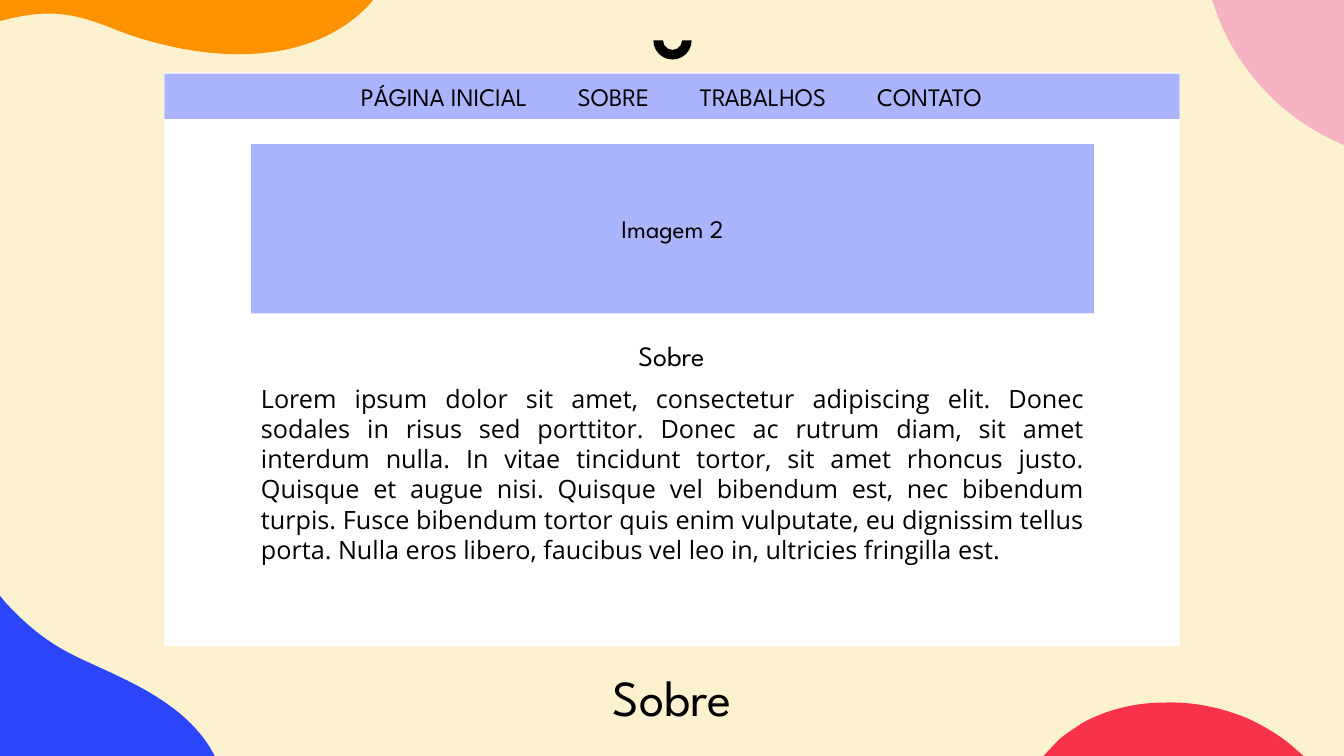
from lxml import etree
from pptx import Presentation
from pptx.dml.color import RGBColor
from pptx.enum.shapes import MSO_SHAPE
from pptx.enum.text import MSO_ANCHOR, PP_ALIGN
from pptx.oxml.ns import qn
from pptx.util import Inches, Pt

RECTANGLE = MSO_SHAPE.RECTANGLE
BLOCK_ARC = MSO_SHAPE.BLOCK_ARC
TOP, MIDDLE = MSO_ANCHOR.TOP, MSO_ANCHOR.MIDDLE
LEFT, CENTER, JUSTIFY = PP_ALIGN.LEFT, PP_ALIGN.CENTER, PP_ALIGN.JUSTIFY

COLORS = {
    "cream": "FDF2CF",
    "orange": "FE9201",
    "blue": "2C46FB",
    "pink": "F6B4C3",
    "red": "F83249",
    "lilac": "ABB5FD",
    "white": "FFFFFF",
    "black": "000000",
}
HEADING_FONT = "League Spartan"
BODY_FONT = "Open Sans"

BLOBS = [
    ("orange", (0, 0, 3.7, 0.54), [
        (0, 0), (3.7, 0), (3.66, 0.05),
        (3.01, 0.73, 1.88, 0.6, 1.06, 0.26),
        (0.67, 0.11, 0.44, 0.11, 0.12, 0.18),
        (0, 0.21)]),
    ("blue", (0, 5.91, 2.13, 1.59), [
        (0, 5.91), (0.04, 5.96),
        (0.21, 6.15, 0.41, 6.33, 0.67, 6.47),
        (1.09, 6.69, 1.75, 6.89, 2.08, 7.41),
        (2.13, 7.5), (0, 7.5)]),
    ("pink", (12.02, 0, 1.34, 1.45), [
        (12.02, 0), (13.36, 0), (13.36, 1.45), (13.31, 1.43),
        (12.7, 1.17, 12.23, 0.66, 12.03, 0.02)]),
    ("red", (10.35, 6.97, 2.58, 0.53), [
        (11.55, 6.97),
        (11.83, 6.96, 12.12, 7.02, 12.38, 7.13),
        (12.55, 7.21, 12.72, 7.31, 12.86, 7.44),
        (12.93, 7.5), (10.35, 7.5), (10.5, 7.34),
        (10.57, 7.28, 10.65, 7.23, 10.74, 7.17),
        (10.98, 7.04, 11.26, 6.97, 11.55, 6.97)]),
]

MENU = ["PÁGINA INICIAL", "SOBRE", "TRABALHOS", "CONTATO"]
MENU_INSET = 1.95
MENU_TABS = [2.15, 3.36, 5.12]

ABOUT = (
    "Lorem ipsum dolor sit amet, consectetur adipiscing elit. Donec sodales "
    "in risus sed porttitor. Donec ac rutrum diam, sit amet interdum nulla. "
    "In vitae tincidunt tortor, sit amet rhoncus justo. Quisque et augue nisi. "
    "Quisque vel bibendum est, nec bibendum turpis. Fusce bibendum tortor quis "
    "enim vulputate, eu dignissim tellus porta. Nulla eros libero, faucibus "
    "vel leo in, ultricies fringilla est."
)


def rgb(name):
    return RGBColor.from_string(COLORS[name])


def paint(shape, color):
    shape.shadow.inherit = False
    shape.fill.solid()
    shape.fill.fore_color.rgb = rgb(color)
    shape.line.fill.background()


def add_segment(outline, tag, numbers, left, top):
    segment = etree.SubElement(outline, qn(tag))
    for x, y in zip(numbers[::2], numbers[1::2]):
        etree.SubElement(segment, qn("a:pt"),
                         x=str(Inches(x - left)), y=str(Inches(y - top)))


def add_blob(page, color, place, segments):
    left, top, width, height = place
    right, bottom = left + width, top + height
    builder = page.shapes.build_freeform(Inches(left), Inches(top))
    builder.add_line_segments([(Inches(x), Inches(y)) for x, y in (
        (right, top), (right, bottom), (left, bottom))], close=True)
    blob = builder.convert_to_shape()
    paint(blob, color)
    outline = next(blob._element.iter(qn("a:path")))
    for child in list(outline):
        outline.remove(child)
    add_segment(outline, "a:moveTo", segments[0], left, top)
    for numbers in segments[1:]:
        tag = "a:lnTo" if len(numbers) == 2 else "a:cubicBezTo"
        add_segment(outline, tag, numbers, left, top)
    etree.SubElement(outline, qn("a:close"))


def add_block(page, kind, place, color):
    block = page.shapes.add_shape(kind, *map(Inches, place))
    paint(block, color)
    return block


def write(box, text, size, font=HEADING_FONT, align=CENTER, anchor=MIDDLE, spacing=None):
    frame = box.text_frame
    frame.word_wrap = True
    frame.vertical_anchor = anchor
    para = frame.paragraphs[0]
    para.alignment = align
    for name, value in (spacing or {}).items():
        setattr(para, name, value)
    span = para.add_run()
    span.text = text
    for name, value in {"size": Pt(size), "name": font}.items():
        setattr(span.font, name, value)
    span.font.color.rgb = rgb("black")
    return para


def add_text(page, place, text, size, **layout):
    box = page.shapes.add_textbox(*map(Inches, place))
    write(box, text, size, anchor=TOP, **layout)


def add_menu(page, place):
    bar = add_block(page, RECTANGLE, place, "lilac")
    bar.text_frame.margin_left = Inches(MENU_INSET)
    para = write(bar, "\t".join(MENU), 18, align=LEFT)
    tabs = etree.SubElement(para._p.get_or_add_pPr(), qn("a:tabLst"))
    for position in MENU_TABS:
        etree.SubElement(tabs, qn("a:tab"), pos=str(Inches(position)), algn="l")


def main():
    deck = Presentation()
    deck.slide_width, deck.slide_height = Inches(13.33), Inches(7.5)
    page = deck.slides.add_slide(deck.slide_layouts[6])
    page.background.fill.solid()
    page.background.fill.fore_color.rgb = rgb("cream")

    for color, place, segments in BLOBS:
        add_blob(page, color, place, segments)
    arc = add_block(page, BLOCK_ARC, (6.48, 0.21, 0.38, 0.38), "black")
    arc.rotation = 180

    add_text(page, (1.78, 6.56, 9.77, 0.9), "Sobre", 36,
             spacing={"space_before": Pt(6), "space_after": Pt(12)})
    add_block(page, RECTANGLE, (1.63, 0.72, 10.07, 5.69), "white")
    add_menu(page, (1.63, 0.73, 10.07, 0.45))
    banner = add_block(page, RECTANGLE, (2.49, 1.43, 8.36, 1.68), "lilac")
    write(banner, "Imagem 2", 18)
    add_text(page, (4.94, 3.31, 3.44, 0.44), "Sobre", 20)
    add_text(page, (2.49, 3.75, 8.36, 1.92), ABOUT, 18, font=BODY_FONT, align=JUSTIFY)

    deck.save("out.pptx")


if __name__ == "__main__":
    main()
